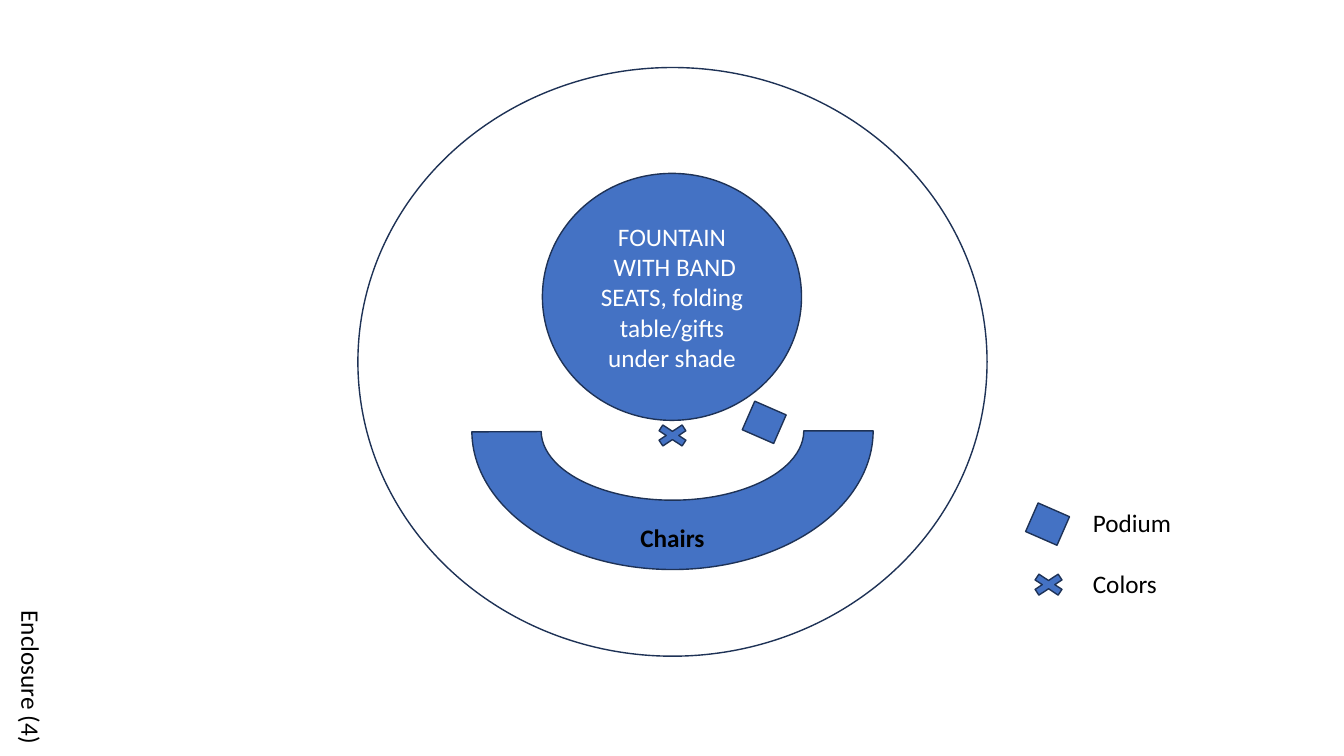
from pptx import Presentation
from pptx.dml.color import RGBColor
from pptx.enum import shapes as sh, text as tx
from pptx.util import Inches, Pt

BLUE = RGBColor(0x44, 0x72, 0xC4)
NAVY = RGBColor(0x1E, 0x32, 0x56)
WHITE = RGBColor(0xFF, 0xFF, 0xFF)
BLACK = RGBColor(0, 0, 0)
KIND = sh.MSO_SHAPE


def draw(slide, kind, box, fill=BLUE, turn=0):
    shape = slide.shapes.add_shape(kind, *map(Inches, box))
    shape.shadow.inherit = False
    shape.rotation = turn
    if fill is None:
        shape.fill.background()
    else:
        shape.fill.solid()
        shape.fill.fore_color.rgb = fill
    shape.line.color.rgb = NAVY
    shape.line.width = Pt(1)
    return shape


def write(frame, lines, color=BLACK, align=tx.PP_ALIGN.LEFT, bold=False, gap=0):
    """Fill a text frame, with gap points between its paragraphs."""
    look = {"name": "Calibri", "size": Pt(18), "bold": bold}
    for i, line in enumerate(lines):
        para = frame.add_paragraph() if i else frame.paragraphs[0]
        para.alignment = align
        if i and gap:
            para.space_before = Pt(gap)
        run = para.add_run()
        run.text = line
        for key, value in look.items():
            setattr(run.font, key, value)
        run.font.color.rgb = color


def label(slide, box, lines, wrap=True, turn=0, **look):
    area = slide.shapes.add_textbox(*map(Inches, box))
    area.rotation = turn
    area.text_frame.word_wrap = wrap
    area.text_frame.auto_size = tx.MSO_AUTO_SIZE.SHAPE_TO_FIT_TEXT
    write(area.text_frame, lines, **look)


def podium(slide, x, y):
    """Tilted square centred on x, y."""
    wide, high = 0.34, 0.31
    draw(slide, KIND.RECTANGLE, (x - wide / 2, y - high / 2, wide, high), turn=23.6)


def colors(slide, x, y):
    """Cross for the flags, centred on x, y."""
    wide, high = 0.44, 0.29
    draw(slide, KIND.MATH_MULTIPLY, (x - wide / 2, y - high / 2, wide, high))


def plaza(slide, x, y, wide, high):
    """Ring with the fountain, chairs, flags and podium inside."""
    mid = x + wide / 2
    core = draw(slide, KIND.OVAL, (mid - 1.29, y + 1.05, 2.57, 2.45))
    core.text_frame.word_wrap = True
    core.text_frame.vertical_anchor = tx.MSO_ANCHOR.MIDDLE
    write(core.text_frame,
          ["FOUNTAIN", " WITH BAND SEATS, folding table/gifts under shade"],
          color=WHITE, align=tx.PP_ALIGN.CENTER)
    draw(slide, KIND.OVAL, (x, y, wide, high), fill=None)

    chairs = draw(slide, KIND.BLOCK_ARC, (mid - 1.99, y + 2.23, 3.98, 2.75))
    for i, value in enumerate((108.167, 0, 0.25)):
        chairs.adjustments[i] = value
    chairs.element.spPr.xfrm.set("flipV", "1")
    label(slide, (mid - 0.5, y + 4.46, 1, 0.4), ["Chairs"],
          align=tx.PP_ALIGN.CENTER, bold=True)

    colors(slide, mid, y + 3.65)
    podium(slide, mid + 0.91, y + 3.52)


def legend(slide, x, y):
    podium(slide, x + 0.21, y + 0.22)
    colors(slide, x + 0.22, y + 0.82)
    label(slide, (x + 0.56, y, 1.75, 1.01), ["Podium", "Colors"], gap=22)


def main():
    deck = Presentation()
    deck.slide_width, deck.slide_height = Inches(13.33), Inches(7.5)
    slide = deck.slides.add_slide(deck.slide_layouts[6])
    plaza(slide, 3.55, 0.67, 6.24, 5.84)
    legend(slide, 10.18, 4.98)
    label(slide, (-0.46, 6.53, 1.54, 0.4), ["Enclosure (4)"], wrap=False, turn=90)
    deck.save("out.pptx")


if __name__ == "__main__":
    main()
